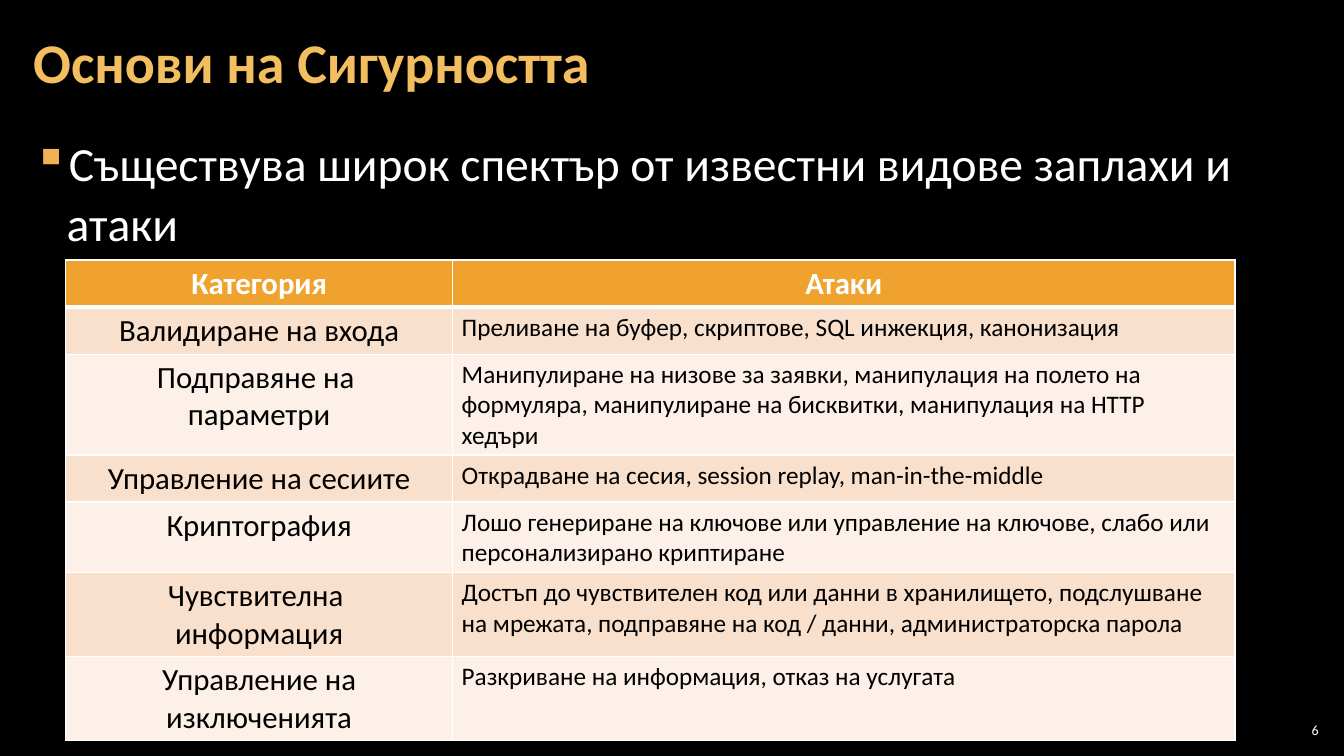
from lxml import etree
from pptx import Presentation
from pptx.dml.color import RGBColor
from pptx.enum import text
from pptx.oxml import ns
from pptx.util import Inches, Pt

BLACK = RGBColor(0x00, 0x00, 0x00)
WHITE = RGBColor(0xFF, 0xFF, 0xFF)
TITLE_GOLD = RGBColor(0xF3, 0xBE, 0x60)
BULLET_GOLD = RGBColor(0xF2, 0xB2, 0x54)
HEADER_ORANGE = RGBColor(0xF0, 0xA2, 0x2E)
BAND_DARK = RGBColor(0xF9, 0xE0, 0xCD)
BAND_LIGHT = RGBColor(0xFC, 0xF0, 0xE8)

ROWS = [
    (0.46, "Категория", "Атаки"),
    (0.46, "Валидиране на входа",
     "Преливане на буфер, скриптове, SQL инжекция, канонизация"),
    (1, "Подправяне на \nпараметри",
     "Манипулиране на низове за заявки, манипулация на полето на формуляра, "
     "манипулиране на бисквитки, манипулация на HTTP хедъри"),
    (0.46, "Управление на сесиите",
     "Открадване на сесия, session replay, man-in-the-middle"),
    (0.7, "Криптография",
     "Лошо генериране на ключове или управление на ключове, слабо или "
     "персонализирано криптиране"),
    (0.82, "Чувствителна \nинформация",
     "Достъп до чувствителен код или данни в хранилището, подслушване на "
     "мрежата, подправяне на код / данни, администраторска парола"),
    (0.82, "Управление на изключенията",
     "Разкриване на информация, отказ на услугата"),
]


def add_text(paragraph, content, size, color, bold=False):
    for index, line in enumerate(content.split("\n")):
        if index:
            paragraph.add_line_break()
        run = paragraph.add_run()
        run.text = line
        run.font.name = "Calibri"
        run.font.size = Pt(size)
        run.font.bold = bold
        run.font.color.rgb = color


def add_box(left, top, width, height, side_inset, anchor):
    box = slide.shapes.add_textbox(Inches(left), Inches(top), Inches(width), Inches(height))
    frame = box.text_frame
    frame.word_wrap = True
    frame.vertical_anchor = anchor
    frame.margin_left = frame.margin_right = Inches(side_inset)
    frame.margin_top = frame.margin_bottom = Inches(0.04)
    return frame.paragraphs[0]


presentation = Presentation()
presentation.slide_width = Inches(13.33)
presentation.slide_height = Inches(7.5)
slide = presentation.slides.add_slide(presentation.slide_layouts[6])
slide.background.fill.solid()
slide.background.fill.fore_color.rgb = BLACK

# Slide number
paragraph = add_box(12.65, 7.14, 0.47, 0.21, 0.04, text.MSO_ANCHOR.MIDDLE)
paragraph.alignment = text.PP_ALIGN.RIGHT
add_text(paragraph, "6", 10, WHITE)

# Bulleted statement
paragraph = add_box(0.21, 1.26, 12.91, 6.09, 0.12, text.MSO_ANCHOR.TOP)
paragraph.line_spacing = 1.05
paragraph.space_before = paragraph.space_after = Pt(6)
add_text(paragraph, "Съществува широк спектър от известни видове заплахи и атаки", 34, WHITE)
properties = paragraph._p.get_or_add_pPr()
properties.set("marL", str(Inches(0.33)))
properties.set("indent", str(-Inches(0.33)))
bullet_color = etree.SubElement(properties, ns.qn("a:buClr"))
etree.SubElement(bullet_color, ns.qn("a:srgbClr"), val=str(BULLET_GOLD))
etree.SubElement(properties, ns.qn("a:buChar"), char="▪")

# Title
paragraph = add_box(0.21, 0.04, 10.47, 1.21, 0.12, text.MSO_ANCHOR.MIDDLE)
paragraph.line_spacing = 0.9
add_text(paragraph, "Основи на Сигурността", 40, TITLE_GOLD, True)

# Table of attacks by category
table = slide.shapes.add_table(
    len(ROWS), 2, Inches(0.65), Inches(2.58), Inches(11.6), Inches(4.73)).table
table.columns[0].width = Inches(3.84)
table.columns[1].width = Inches(7.76)

for row, (height, *contents) in enumerate(ROWS):
    table.rows[row].height = Inches(height)
    header = row == 0
    for column, content in enumerate(contents):
        cell = table.cell(row, column)
        cell.margin_left = cell.margin_right = Inches(0.09)
        cell.margin_top = cell.margin_bottom = Inches(0.05)
        paragraph = cell.text_frame.paragraphs[0]
        if header or column == 0:
            paragraph.alignment = text.PP_ALIGN.CENTER
        add_text(paragraph, content, 22 if header or column == 0 else 18,
                 WHITE if header else BLACK, header)

        # Borders, thicker under the header; they precede the fill
        for side in ("lnL", "lnR", "lnT", "lnB"):
            thick = (row, side) in ((0, "lnB"), (1, "lnT"))
            line = etree.SubElement(cell._tc.get_or_add_tcPr(), ns.qn("a:" + side),
                                    w=str(Pt(3 if thick else 1)))
            line_fill = etree.SubElement(line, ns.qn("a:solidFill"))
            etree.SubElement(line_fill, ns.qn("a:srgbClr"), val=str(WHITE))
        cell.fill.solid()
        cell.fill.fore_color.rgb = (
            HEADER_ORANGE if header else BAND_DARK if row % 2 else BAND_LIGHT)

presentation.save("out.pptx")
